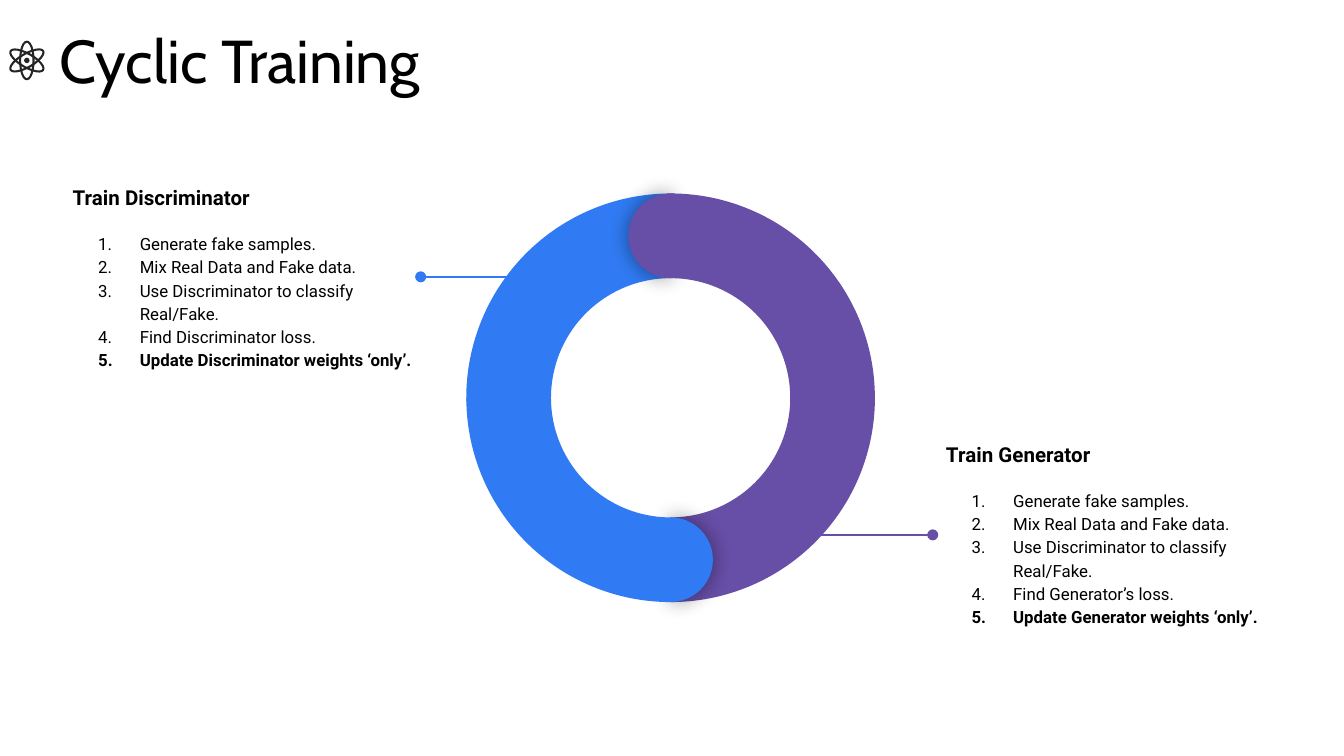
from lxml import etree
from pptx import Presentation
from pptx.dml.color import RGBColor
from pptx.enum.shapes import MSO_CONNECTOR, MSO_SHAPE
from pptx.enum.text import MSO_ANCHOR, PP_ALIGN
from pptx.oxml import parse_xml
from pptx.oxml.ns import qn
from pptx.util import Inches, Pt

NS = 'xmlns:a="http://schemas.openxmlformats.org/drawingml/2006/main"'
OVAL, ARC, PIE = MSO_SHAPE.OVAL, MSO_SHAPE.BLOCK_ARC, MSO_SHAPE.PIE
LEFT, TOP, MIDDLE = PP_ALIGN.LEFT, MSO_ANCHOR.TOP, MSO_ANCHOR.MIDDLE
BLUE, PURPLE, INK, BLACK = "307BF3", "674EA7", "252525", "000000"

# Content
TITLE = "Cyclic Training"
PHASES = [
    {"heading": "Train Discriminator", "box": (0.54, 1.38, 2.59, 1.37),
     "inset": 0, "line": (4.15, 2.06, 3.13, 2.06), "color": BLUE,
     "steps": ["Generate fake samples.", "Mix Real Data and Fake data.",
               "Use Discriminator to classify Real/Fake.",
               "Find Discriminator loss.",
               "Update Discriminator weights ‘only’."]},
    {"heading": "Train Generator", "box": (6.94, 3.27, 2.55, 1.41),
     "inset": 0.1, "line": (5.37, 3.98, 6.94, 3.98), "color": PURPLE,
     "steps": ["Generate fake samples.", "Mix Real Data and Fake data.",
               "Use Discriminator to classify Real/Fake.",
               "Find Generator’s loss.",
               "Update Generator weights ‘only’."]},
]

# Ring: centre, outer radius and band width; angles run clockwise from the right
RING_X, RING_Y, RING_R, BAND = 4.99, 2.96, 1.52, 0.63
# Back to front, so that each cap's shadow falls only on the other colour
RING_PARTS = [
    ("arc", 179, 271, BLUE),
    ("cap", 90, 270, PURPLE),
    ("arc", 269, 1, PURPLE),
    ("arc", 0, 90, PURPLE),
    ("cap", 270, 90, BLUE),
    ("arc", 89, 180, BLUE),
]


def rgb(value):
    return RGBColor.from_string(value)


def add_shape(kind, x, y, w, h, fill=None, line=None, width=1):
    sp = slide.shapes.add_shape(kind, Inches(x), Inches(y), Inches(w), Inches(h))
    sp.shadow.inherit = False
    if fill:
        sp.fill.solid()
        sp.fill.fore_color.rgb = rgb(fill)
    else:
        sp.fill.background()
    if line:
        sp.line.color.rgb = rgb(line)
        sp.line.width = Pt(width)
    else:
        sp.line.fill.background()
    return sp


def write(p, text, size, font="Roboto", color=BLACK, bold=False, spacing=1, before=0):
    p.alignment = LEFT
    p.line_spacing = spacing
    p.space_before = Pt(before)
    r = p.add_run()
    r.text = text
    r.font.name, r.font.size, r.font.bold = font, Pt(size), bold
    r.font.color.rgb = rgb(color)


def set_frame(tf, inset, anchor):
    tf.word_wrap = True
    tf.vertical_anchor = anchor
    tf.margin_left = tf.margin_right = Inches(inset)
    tf.margin_top = tf.margin_bottom = Inches(inset)


def number(p):
    pPr = p._p.get_or_add_pPr()
    pPr.set("marL", str(Inches(0.5)))
    pPr.set("indent", str(Inches(-0.31)))
    etree.SubElement(pPr, qn("a:buAutoNum"), type="arabicPeriod")


def add_callout(x1, y1, x2, y2, color):
    line = slide.shapes.add_connector(
        MSO_CONNECTOR.STRAIGHT, Inches(x1), Inches(y1), Inches(x2), Inches(y2))
    line.line.color.rgb = rgb(color)
    line.line.width = Pt(0.75)
    etree.SubElement(line.line._get_or_add_ln(), qn("a:tailEnd"), type="oval")
    etree.SubElement(line._element.spPr, qn("a:effectLst"))


def add_glow(sp):
    effects = sp._element.spPr.find(qn("a:effectLst"))
    effects.append(parse_xml(
        f'<a:outerShdw {NS} blurRad="{Pt(11.2)}" dist="0" dir="0" algn="ctr" '
        'rotWithShape="0"><a:srgbClr val="000000"><a:alpha val="43000"/>'
        '</a:srgbClr></a:outerShdw>'))


prs = Presentation()
prs.slide_width = Inches(10)
prs.slide_height = prs.slide_width * 9 // 16
slide = prs.slides.add_slide(prs.slide_layouts[5])

# Title
title = slide.shapes.title
title.left, title.top = Inches(0.34), Inches(0.07)
title.width, title.height = Inches(9.32), Inches(0.63)
set_frame(title.text_frame, 0.1, TOP)
write(title.text_frame.paragraphs[0], TITLE, 32.4, font="Cabin")

# Atom icon: three orbits and a nucleus
ATOM_X, ATOM_Y = 0.2, 0.45
for angle in (0, 60, 120):
    orbit = add_shape(OVAL, ATOM_X - 0.05, ATOM_Y - 0.14, 0.1, 0.28, line=INK, width=1.1)
    orbit.rotation = angle
add_shape(OVAL, ATOM_X - 0.02, ATOM_Y - 0.02, 0.04, 0.04, fill=INK)

# Phase texts and their callout lines
for phase in PHASES:
    box = slide.shapes.add_textbox(*[Inches(v) for v in phase["box"]])
    tf = box.text_frame
    set_frame(tf, phase["inset"], MIDDLE)
    write(tf.paragraphs[0], phase["heading"], 11, bold=True)
    last = len(phase["steps"]) - 1
    for i, step in enumerate(phase["steps"]):
        p = tf.add_paragraph()
        number(p)
        write(p, step, 9, bold=i == last, spacing=1.15, before=0 if i else 11.5)
    add_callout(*phase["line"], phase["color"])

# Ring of quarter arcs with rounded, shadowed caps
for part, start, end, color in RING_PARTS:
    if part == "arc":
        size = 2 * RING_R
        sp = add_shape(ARC, RING_X - RING_R, RING_Y - RING_R, size, size, fill=color)
        sp.adjustments[2] = BAND / size
    else:
        side = -1 if color == PURPLE else 1
        middle = RING_Y + side * (RING_R - BAND / 2)
        sp = add_shape(PIE, RING_X - BAND / 2, middle - BAND / 2, BAND, BAND, fill=color)
        add_glow(sp)
    # Angles are stored in 60000ths of a degree, adjustments in 100000ths
    sp.adjustments[0], sp.adjustments[1] = start * 0.6, end * 0.6

prs.save("out.pptx")
